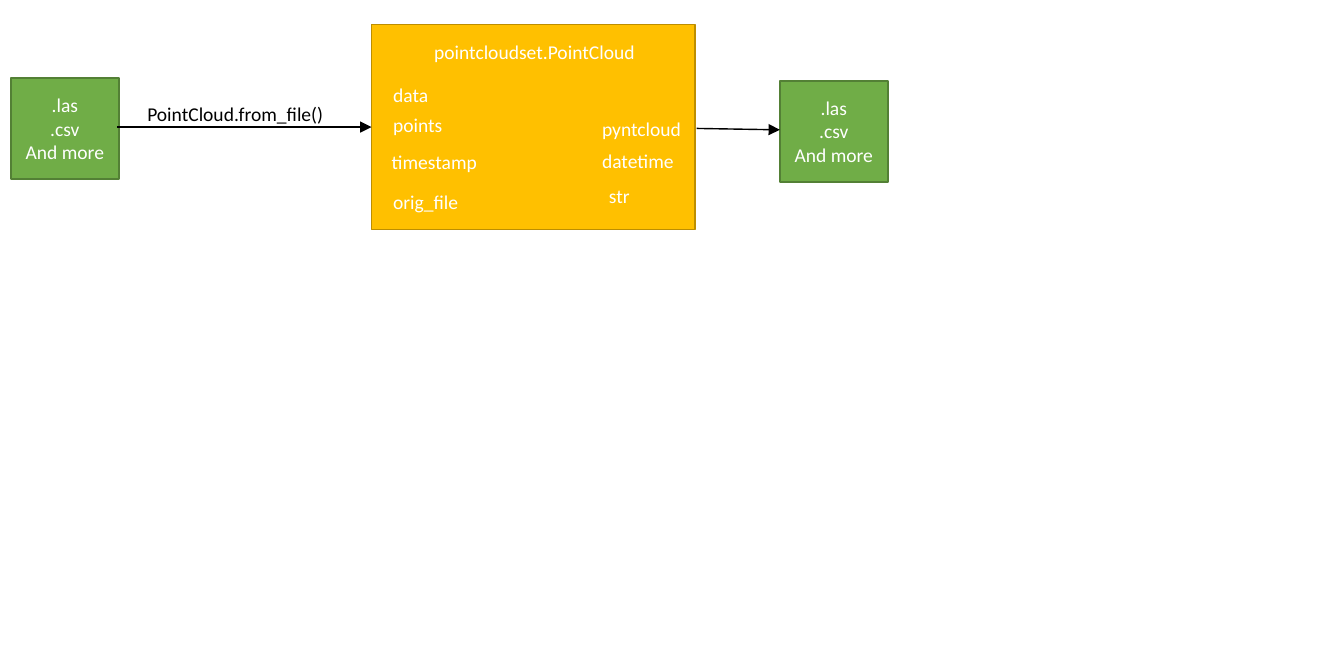
from pptx import Presentation
from pptx.dml.color import RGBColor
from pptx.enum.shapes import MSO_CONNECTOR, MSO_SHAPE
from pptx.enum.text import MSO_ANCHOR, MSO_AUTO_SIZE, PP_ALIGN
from pptx.oxml.ns import qn
from pptx.util import Inches, Pt
from lxml import etree

RECT = MSO_SHAPE.RECTANGLE
STRAIGHT = MSO_CONNECTOR.STRAIGHT
CENTER, MIDDLE = PP_ALIGN.CENTER, MSO_ANCHOR.MIDDLE
FIT = MSO_AUTO_SIZE.SHAPE_TO_FIT_TEXT

WHITE = RGBColor(0xFF, 0xFF, 0xFF)
BLACK = RGBColor(0, 0, 0)
GOLD = RGBColor(0xFF, 0xC0, 0x00)
DARK_GOLD = RGBColor(0xBD, 0x8E, 0x00)
GREEN = RGBColor(0x70, 0xAD, 0x47)
DARK_GREEN = RGBColor(0x53, 0x80, 0x35)

FONT, SIZE = "Calibri", Pt(10.3)
LABEL_H = 0.27
FILE_W, FILE_H = 0.79, 0.74

FORMATS = [".las", ".csv", "And more"]
CLASS_BOX = (2.72, 0.18, 2.37, 1.5)
FILE_BOXES = [(0.08, 0.57), (5.71, 0.59)]
ARROWS = [((0.86, 0.93), (2.72, 0.93)), ((5.1, 0.94), (5.71, 0.95))]
LABELS = [
    ("pointcloudset.PointCloud", 3.08, 0.24, 1.69, WHITE),
    ("PointCloud.from_file()", 0.98, 0.7, 1.51, BLACK),
    ("data", 2.78, 0.56, 0.46, WHITE),
    ("points", 2.78, 0.78, 0.57, WHITE),
    ("timestamp", 2.77, 1.05, 0.84, WHITE),
    ("orig_file", 2.78, 1.34, 0.68, WHITE),
    ("pyntcloud", 4.31, 0.81, 0.79, WHITE),
    ("datetime", 4.31, 1.04, 0.74, WHITE),
    ("str", 4.36, 1.3, 0.36, WHITE),
]


def add_run(p, text, color):
    r = p.add_run()
    r.text = text
    r.font.name = FONT
    r.font.size = SIZE
    r.font.color.rgb = color


def add_box(s, x, y, w, h, fill, line, lines=()):
    sp = s.shapes.add_shape(RECT, Inches(x), Inches(y), Inches(w), Inches(h))
    sp.shadow.inherit = False
    sp.fill.solid()
    sp.fill.fore_color.rgb = fill
    sp.line.color.rgb = line
    sp.line.width = Pt(1)
    tf = sp.text_frame
    tf.vertical_anchor = MIDDLE
    tf.margin_left = tf.margin_right = Inches(0.04)
    for i, text in enumerate(lines):
        p = tf.add_paragraph() if i else tf.paragraphs[0]
        p.alignment = CENTER
        add_run(p, text, WHITE)


def add_label(s, text, x, y, w, color):
    sp = s.shapes.add_textbox(Inches(x), Inches(y), Inches(w), Inches(LABEL_H))
    tf = sp.text_frame
    tf.word_wrap = False
    tf.auto_size = FIT
    add_run(tf.paragraphs[0], text, color)


def add_arrow(s, start, end):
    cx = s.shapes.add_connector(STRAIGHT, *map(Inches, start + end))
    cx.line.color.rgb = BLACK
    cx.line.width = Pt(0.75)
    ln = cx.line._get_or_add_ln()
    etree.SubElement(ln, qn("a:tailEnd"), type="triangle")
    etree.SubElement(ln.getparent(), qn("a:effectLst"))


def main():
    prs = Presentation()
    prs.slide_width, prs.slide_height = Inches(9.84), Inches(4.72)
    s = prs.slides.add_slide(prs.slide_layouts[6])
    add_box(s, *CLASS_BOX, GOLD, DARK_GOLD)
    for x, y in FILE_BOXES:
        add_box(s, x, y, FILE_W, FILE_H, GREEN, DARK_GREEN, FORMATS)
    for start, end in ARROWS:
        add_arrow(s, start, end)
    for label in LABELS:
        add_label(s, *label)
    prs.save("out.pptx")


if __name__ == "__main__":
    main()
